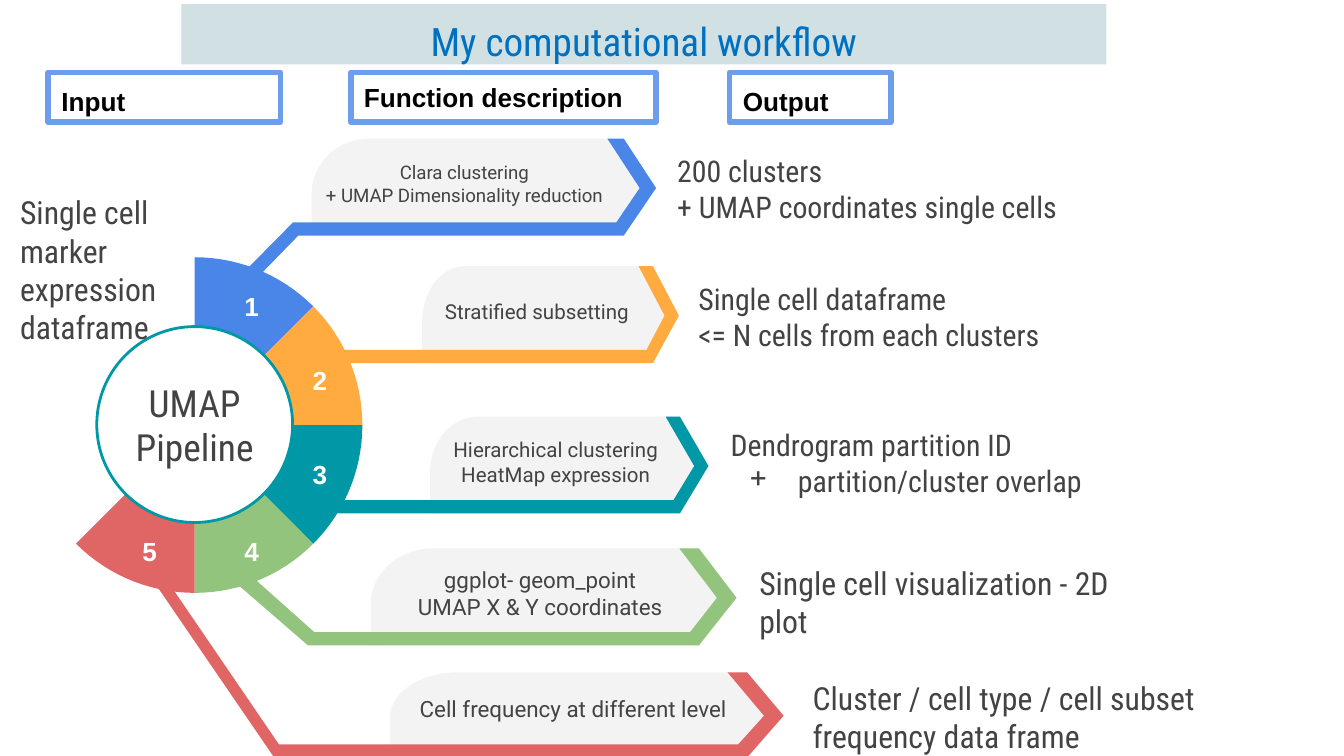
"""Build the slide showing the five-step UMAP computational workflow."""
from math import cos, radians, sin

from lxml import etree
from pptx import Presentation
from pptx.dml.color import RGBColor
from pptx.enum.shapes import MSO_SHAPE as Preset
from pptx.enum.text import MSO_ANCHOR as Anchor, PP_ALIGN as Align
from pptx.oxml.ns import qn
from pptx.util import Cm, Pt

WHITE = RGBColor(0xFF, 0xFF, 0xFF)
BLACK = RGBColor(0x00, 0x00, 0x00)
INK = RGBColor(0x43, 0x43, 0x43)
CARD_GREY = RGBColor(0xF3, 0xF3, 0xF3)
BANNER = RGBColor(0xD0, 0xE0, 0xE3)
TITLE_BLUE = RGBColor(0x00, 0x70, 0xC0)
HEADER_BLUE = RGBColor(0x6D, 0x9E, 0xEB)
BLUE = RGBColor(0x4A, 0x86, 0xE8)
ORANGE = RGBColor(0xFF, 0xAB, 0x40)
TEAL = RGBColor(0x00, 0x97, 0xA7)
GREEN = RGBColor(0x93, 0xC4, 0x7D)
RED = RGBColor(0xE0, 0x66, 0x66)

INSETS = {"margin_left": Cm(0.25), "margin_top": Cm(0.25),
          "margin_right": Cm(0.25), "margin_bottom": Cm(0.25), "word_wrap": True}
CARD_INSETS = {**INSETS, "margin_right": Cm(0.76), "margin_bottom": Cm(0.38)}
CONDENSED = {"name": "Roboto Condensed", "bold": False}
CARD_FONT = {"name": "Roboto", "bold": False}
LABEL_FONT = {"name": "Arial", "bold": True, "size": Pt(14)}

presentation = Presentation()
presentation.slide_width, presentation.slide_height = Cm(25.4), Cm(14.28)
slide = presentation.slides.add_slide(presentation.slide_layouts[6])
shapes = slide.shapes


def draw_outline(points, color):
    corners = [(Cm(x), Cm(y)) for x, y in points]
    builder = shapes.build_freeform(*corners[0], scale=1.0)
    builder.add_line_segments(corners[1:], close=True)
    outline = builder.convert_to_shape()
    outline.shadow.inherit = False
    outline.fill.solid()
    outline.fill.fore_color.rgb = color
    outline.line.fill.background()
    return outline


def write(holder, lines, font, color, align=Align.LEFT, anchor=Anchor.TOP, insets=INSETS):
    frame = holder.text_frame
    for name, value in {**insets, "vertical_anchor": anchor}.items():
        setattr(frame, name, value)
    for index, line in enumerate(lines):
        paragraph = frame.add_paragraph() if index else frame.paragraphs[0]
        paragraph.alignment = align
        run = paragraph.add_run()
        run.text = line
        for name, value in font.items():
            setattr(run.font, name, value)
        run.font.color.rgb = color
    return frame


CENTER_X, CENTER_Y, RADIUS = 3.68, 8.03, 3.17
BAR = 0.25

steps = [
    dict(color=BLUE, left=5.89, curve=6.98, shoulder=11.79, tip=12.40, card_tip=12.17,
         top=2.62, height=1.83, card_height=1.83, band=0.31,
         tail=[(5.54, 4.20), (3.89, 5.87), (4.06, 6.07), (5.64, 4.45)],
         card=["Clara clustering", "+ UMAP Dimensionality reduction"], card_size=10,
         output=["200 clusters", "+ UMAP coordinates single cells"], output_size=16,
         output_at=(12.55, 2.97, 8.03), number_at=(4.37, 5.23)),
    dict(color=ORANGE, left=7.98, curve=8.79, shoulder=12.34, tip=12.83, card_tip=12.83,
         top=5.03, height=1.83, card_height=1.83, band=0.27,
         tail=[(5.97, 6.61), (5.97, 6.86)],
         card=["Stratified subsetting"], card_size=11,
         output=["Single cell dataframe", "<= N cells from each clusters"], output_size=16,
         output_at=(12.95, 5.38, 7.72), number_at=(5.66, 6.63)),
    dict(color=TEAL, left=8.13, curve=9.04, shoulder=12.85, tip=13.39, card_tip=13.39,
         top=7.87, height=1.83, card_height=1.83, band=0.27,
         tail=[(5.97, 9.45), (5.97, 9.70)],
         card=["Hierarchical clustering", "HeatMap expression"], card_size=11,
         output=["Dendrogram partition ID", "partition/cluster overlap"], output_size=16,
         output_at=(13.56, 8.15, 8.33), number_at=(5.66, 8.41)),
    dict(color=GREEN, left=7.01, curve=8.18, shoulder=13.21, tip=13.92, card_tip=13.92,
         top=10.36, height=1.83, card_height=1.83, band=0.37,
         tail=[(5.94, 11.94), (4.11, 10.31), (3.89, 10.52), (5.82, 12.19)],
         card=["ggplot- geom_point", "UMAP X & Y coordinates"], card_size=12,
         output=["Single cell visualization - 2D plot"], output_size=17,
         output_at=(14.10, 10.77, 8.10), number_at=(4.37, 9.86)),
    dict(color=RED, left=7.37, curve=8.66, shoulder=14.12, tip=14.81, card_tip=14.81,
         top=12.70, height=1.61, card_height=1.50, band=0.37,
         tail=[(5.23, 14.06), (5.23, 14.31)],
         card=["Cell frequency at different level"], card_size=12,
         output=["Cluster / cell type / cell subset frequency data frame"], output_size=17,
         output_at=(15.11, 12.95, 8.10), number_at=(2.44, 9.86)),
]

draw_outline([(2.41, 10.26), (5.21, 14.35), (5.38, 14.22), (2.54, 10.06)], RED)

for number, step in enumerate(steps, 1):
    top, tip, shoulder, band = step["top"], step["tip"], step["shoulder"], step["band"]
    bottom, middle = top + step["height"], top + 0.51 * step["height"]

    card_bottom = top + step["card_height"]
    card_shoulder = step["card_tip"] - (tip - shoulder)
    round_x, round_y = step["curve"] - step["left"], 0.57 * step["card_height"]
    card_corner = [(step["curve"] - round_x * cos(radians(a)),
                    top + round_y * (1 - sin(radians(a)))) for a in range(0, 91, 6)]
    card = draw_outline(
        [(step["left"], card_bottom), *card_corner, (card_shoulder, top),
         (step["card_tip"], middle), (card_shoulder, card_bottom)], CARD_GREY)
    write(card, step["card"], {**CARD_FONT, "size": Pt(step["card_size"])}, INK,
          Align.CENTER, Anchor.MIDDLE, CARD_INSETS)

    draw_outline(
        [(shoulder - band, top), (tip - band, middle),
         (shoulder - 0.45 * band, bottom - BAR), *step["tail"],
         (shoulder, bottom), (tip, middle), (shoulder, top)], step["color"])

    sweep = range(45 * (number - 1), 45 * number + 1, 3)
    arc = [(CENTER_X + RADIUS * sin(radians(a)), CENTER_Y - RADIUS * cos(radians(a)))
           for a in sweep]
    draw_outline([(CENTER_X, CENTER_Y), *arc], step["color"])

    number_x, number_y = step["number_at"]
    number_label = shapes.add_textbox(Cm(number_x), Cm(number_y), Cm(0.56), Cm(0.89))
    write(number_label, [str(number)], LABEL_FONT, WHITE)

    output_x, output_y, output_width = step["output_at"]
    output = shapes.add_textbox(Cm(output_x), Cm(output_y), Cm(output_width), Cm(1.19))
    output_frame = write(output, step["output"],
                         {**CONDENSED, "size": Pt(step["output_size"])}, INK,
                         anchor=Anchor.MIDDLE)
    if step["color"] == TEAL:
        properties = output_frame.paragraphs[1]._p.get_or_add_pPr()
        properties.set("marL", str(Cm(1.27)))
        properties.set("indent", str(Cm(-0.91)))
        bullet_color = etree.SubElement(properties, qn("a:buClr"))
        etree.SubElement(bullet_color, qn("a:srgbClr"), val=str(INK))
        etree.SubElement(properties, qn("a:buChar"), char="+")

hub = shapes.add_shape(Preset.OVAL, Cm(1.83), Cm(6.17), Cm(3.7), Cm(3.7))
hub.shadow.inherit = False
hub.fill.solid()
hub.fill.fore_color.rgb = WHITE
hub.line.color.rgb = TEAL
hub.line.width = Pt(1.5)
write(hub, ["UMAP", "Pipeline"], {**CONDENSED, "size": Pt(20)}, INK,
      Align.CENTER, Anchor.MIDDLE, {**INSETS, "word_wrap": False})

title = shapes.add_shape(Preset.RECTANGLE, Cm(3.43), Cm(0.08), Cm(17.48), Cm(1.14))
title.shadow.inherit = False
title.fill.solid()
title.fill.fore_color.rgb = BANNER
title.line.fill.background()
write(title, ["My computational workflow"], {**CONDENSED, "size": Pt(21)}, TITLE_BLUE,
      Align.CENTER)

for heading, left, width, anchor in [
    ("Input", 0.91, 4.39, Anchor.TOP),
    ("Function description", 6.63, 5.77, Anchor.MIDDLE),
    ("Output", 13.79, 3.05, Anchor.TOP),
]:
    header = shapes.add_shape(Preset.RECTANGLE, Cm(left), Cm(1.37), Cm(width), Cm(0.94))
    header.shadow.inherit = False
    header.fill.background()
    header.line.color.rgb = HEADER_BLUE
    header.line.width = Pt(3)
    write(header, [heading], LABEL_FONT, BLACK, anchor=anchor)

input_data = shapes.add_textbox(Cm(0.13), Cm(3.4), Cm(3.45), Cm(1.88))
write(input_data, ["Single cell", "marker expression dataframe"],
      {**CONDENSED, "size": Pt(17)}, INK)

presentation.save("out.pptx")
